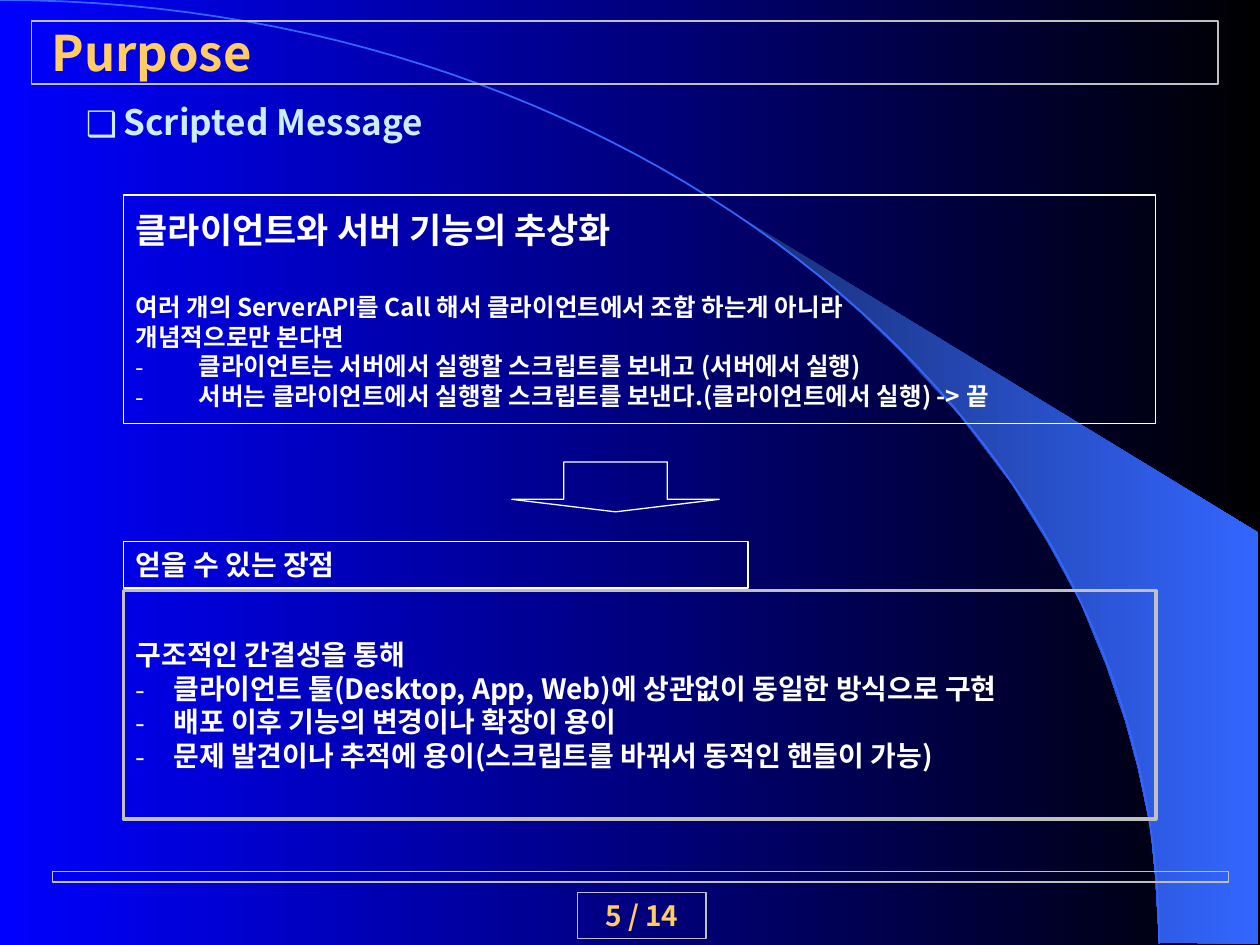
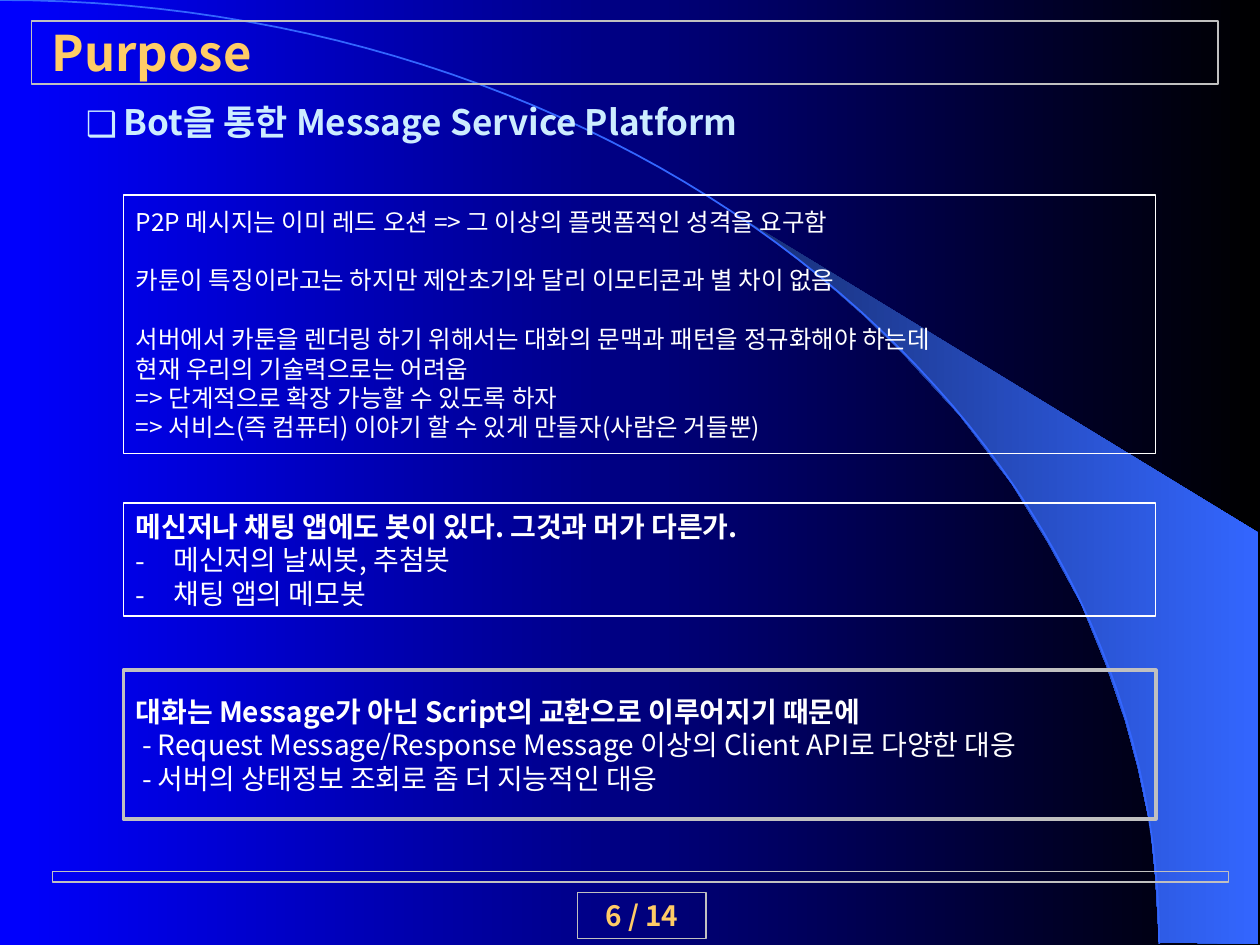
import pptx
import pptx.dml.color
import pptx.enum.shapes
import pptx.enum.text
import pptx.oxml
import pptx.oxml.ns
import pptx.util

# Shared look; all lengths are in points
COLORS = {"blue": "0000FF", "black": "000000", "navy": "182F76", "sky": "3366FF",
          "silver": "C0C0C0", "white": "FFFFFF", "gold": "FFCC66", "ice": "CCECFF"}
FONT = "Noto Sans CJK KR"
SLIDE_SIZE = (720, 540)
LINE_RATIO = 1.2
BULLET_HANG = 21.6
PAGE_COUNT = 14
TITLE = "Purpose"

TITLE_FRAME = (18, 12, 678, 36)
TITLE_BOX = (22.5, 5.5, 570, 48.5)
HEADING_BOX = (42, 54, 520, 31)
FOOTER_BAR = (30, 498, 672, 6)
PAGE_BOX = (330, 510, 73.5, 26.5)
PANEL_LEFT, PANEL_WIDTH = 70.5, 590

BEAM_POINTS = [(662.4, 538.6), (719.3, 539.3), (719.3, 304.6), (424.1, 124.6),
               (449.3, 143.3), (470.2, 159.8), (493.2, 180), (515.5, 201.6),
               (548.6, 237.6), (578.2, 276.5), (599, 310.3), (617.8, 344.9),
               (632.2, 380.2), (643, 411.8), (650.2, 438.5), (657.4, 472.3),
               (660.2, 501.1)]
ARC_CONTROLS = [(0, 0), (365.8, 0), (662.4, 241.2), (662.4, 539.3)]
ARC_STEPS = 60

# Slide content: each panel has lines of text with optional format values
SLIDES = [
    {"page": 5, "heading": "Scripted Message",
     "arrow": (292.5, 264, 118.5, 28.5),
     "panels": [
         {"top": 111.5, "height": 130.5, "size": 14, "bold": True, "lines": [
             ("클라이언트와 서버 기능의 추상화", {"size": 20}),
             ("여러 개의 ServerAPI를 Call 해서 클라이언트에서 조합 하는게 아니라", {"before": 24}),
             ("개념적으로만 본다면", {}),
             ("클라이언트는 서버에서 실행할 스크립트를 보내고 (서버에서 실행)",
              {"bullet": "-", "hang": 36}),
             ("서버는 클라이언트에서 실행할 스크립트를 보낸다.(클라이언트에서 실행) -> 끝",
              {"bullet": "-", "hang": 36})]},
         {"top": 337.5, "height": 130.5, "size": 16, "bold": True,
          "line": "silver", "weight": 2, "lines": [
              ("구조적인 간결성을 통해", {}),
              ("클라이언트 툴(Desktop, App, Web)에 상관없이 동일한 방식으로 구현", {"bullet": "-"}),
              ("배포 이후 기능의 변경이나 확장이 용이", {"bullet": "-"}),
              ("문제 발견이나 추적에 용이(스크립트를 바꿔서 동적인 핸들이 가능)", {"bullet": "-"})]},
         {"top": 309.5, "height": 26.5, "width": 357, "size": 16, "bold": True,
          "lines": [("얻을 수 있는 장점", {})]}]},
    {"page": 6, "heading": "Bot을 통한 Message Service Platform",
     "panels": [
         {"top": 111.5, "height": 147.5, "size": 14, "lines": [
             ("P2P 메시지는 이미 레드 오션 => 그 이상의 플랫폼적인 성격을 요구함", {}),
             ("카툰이 특징이라고는 하지만 제안초기와 달리 이모티콘과 별 차이 없음", {"before": 16.8}),
             ("서버에서 카툰을 렌더링 하기 위해서는 대화의 문맥과 패턴을 정규화해야 하는데",
              {"before": 16.8}),
             ("현재 우리의 기술력으로는 어려움", {}),
             ("=> 단계적으로 확장 가능할 수 있도록 하자", {}),
             ("=> 서비스(즉 컴퓨터) 이야기 할 수 있게 만들자(사람은 거들뿐)", {})]},
         {"top": 383, "height": 85, "size": 16, "line": "silver", "weight": 2, "lines": [
             ("대화는 Message가 아닌 Script의 교환으로 이루어지기 때문에", {"bold": True}),
             ("- Request Message/Response Message 이상의 Client API로 다양한 대응", {"indent": 3.6}),
             ("- 서버의 상태정보 조회로 좀 더 지능적인 대응", {"indent": 3.6})]},
         {"top": 287.5, "height": 64.5, "size": 16, "lines": [
             ("메신저나 채팅 앱에도 봇이 있다. 그것과 머가 다른가.", {"bold": True}),
             ("메신저의 날씨봇, 추첨봇", {"bullet": "-"}),
             ("채팅 앱의 메모봇", {"bullet": "-"})]}]},
]


def rgb(name):
    return pptx.dml.color.RGBColor.from_string(COLORS[name])


def points(values):
    return [pptx.util.Pt(value) for value in values]


def set_gradient(fill, first, last):
    fill.gradient()
    fill.gradient_angle = 0
    for stop, name, position in zip(fill.gradient_stops, (first, last), (0, 1)):
        stop.color.rgb = rgb(name)
        stop.position = position


def set_outline(shape, color, weight):
    shape.shadow.inherit = False
    shape.fill.background()
    shape.line.color.rgb = rgb(color)
    shape.line.width = pptx.util.Pt(weight)


def add_outline(slide, box, color="silver", weight=0.75, kind="RECTANGLE"):
    preset = getattr(pptx.enum.shapes.MSO_SHAPE, kind)
    shape = slide.shapes.add_shape(preset, *points(box))
    set_outline(shape, color, weight)
    return shape


def add_freeform(slide, vertices, close):
    start, *rest = [points(vertex) for vertex in vertices]
    builder = slide.shapes.build_freeform(*start)
    builder.add_line_segments(rest, close=close)
    return builder.convert_to_shape()


def add_bullet(paragraph, character, hang, color):
    properties = paragraph._p.get_or_add_pPr()
    width = pptx.util.Pt(hang)
    properties.set("marL", str(width))
    properties.set("indent", str(-width))
    namespace = pptx.oxml.ns.nsdecls("a")
    for xml in (f'<a:buClr {namespace}><a:srgbClr val="{COLORS[color]}"/></a:buClr>',
                f'<a:buFont {namespace} typeface="{FONT}"/>',
                f'<a:buChar {namespace} char="{character}"/>'):
        properties.append(pptx.oxml.parse_xml(xml))


def write_text(shape, lines, size, color="white", bold=False, align="LEFT", anchor="MIDDLE"):
    frame = shape.text_frame
    frame.word_wrap = True
    frame.vertical_anchor = getattr(pptx.enum.text.MSO_ANCHOR, anchor)
    for index, (text, style) in enumerate(lines):
        paragraph = frame.add_paragraph() if index else frame.paragraphs[0]
        line_size = style.get("size", size)
        spacing = {"alignment": getattr(pptx.enum.text.PP_ALIGN, align),
                   "line_spacing": pptx.util.Pt(line_size * LINE_RATIO)}
        if "before" in style:
            spacing["space_before"] = pptx.util.Pt(style["before"])
        for name, value in spacing.items():
            setattr(paragraph, name, value)
        if "bullet" in style:
            add_bullet(paragraph, style["bullet"], style.get("hang", BULLET_HANG), color)
        elif "indent" in style:
            paragraph._p.get_or_add_pPr().set("marL", str(pptx.util.Pt(style["indent"])))
        run = paragraph.add_run()
        run.text = text
        font_format = {"name": FONT, "size": pptx.util.Pt(line_size),
                       "bold": style.get("bold", bold)}
        for name, value in font_format.items():
            setattr(run.font, name, value)
        run.font.color.rgb = rgb(color)
        east_asian = pptx.oxml.parse_xml(
            f'<a:ea {pptx.oxml.ns.nsdecls("a")} typeface="{FONT}"/>')
        run.font._element.find(pptx.oxml.ns.qn("a:latin")).addnext(east_asian)


def arc_point(t):
    weights = ((1 - t) ** 3, 3 * t * (1 - t) ** 2, 3 * t ** 2 * (1 - t), t ** 3)
    return [sum(weight * control[axis] for weight, control in zip(weights, ARC_CONTROLS))
            for axis in (0, 1)]


def draw_backdrop(slide):
    set_gradient(slide.background.fill, "blue", "black")
    beam = add_freeform(slide, BEAM_POINTS, close=True)
    beam.shadow.inherit = False
    set_gradient(beam.fill, "navy", "sky")
    beam.line.fill.background()
    arc_vertices = [arc_point(step / ARC_STEPS) for step in range(ARC_STEPS + 1)]
    set_outline(add_freeform(slide, arc_vertices, close=False), "sky", 1)


def draw_frame(slide, page):
    add_outline(slide, TITLE_FRAME)
    title = slide.shapes.add_textbox(*points(TITLE_BOX))
    write_text(title, [(TITLE, {})], 28, "gold", bold=True)
    add_outline(slide, FOOTER_BAR)
    page_box = add_outline(slide, PAGE_BOX)
    write_text(page_box, [(f"{page} / {PAGE_COUNT}", {})], 16, "gold", bold=True, align="CENTER")


def draw_content(slide, content):
    heading = slide.shapes.add_textbox(*points(HEADING_BOX))
    write_text(heading, [(content["heading"], {"bullet": "❑"})], 20, "ice",
               bold=True, anchor="TOP")
    for panel in content["panels"]:
        box = (PANEL_LEFT, panel["top"], panel.get("width", PANEL_WIDTH), panel["height"])
        shape = add_outline(slide, box, panel.get("line", "white"), panel.get("weight", 0.75))
        write_text(shape, panel["lines"], panel["size"], bold=panel.get("bold", False))
    if "arrow" in content:
        arrow = add_outline(slide, content["arrow"], "white", kind="DOWN_ARROW")
        arrow.adjustments[0] = 0.5
        arrow.adjustments[1] = 0.25


def main():
    presentation = pptx.Presentation()
    presentation.slide_width, presentation.slide_height = points(SLIDE_SIZE)
    for content in SLIDES:
        slide = presentation.slides.add_slide(presentation.slide_layouts[6])
        draw_backdrop(slide)
        draw_frame(slide, content["page"])
        draw_content(slide, content)
    presentation.save("out.pptx")


if __name__ == "__main__":
    main()
